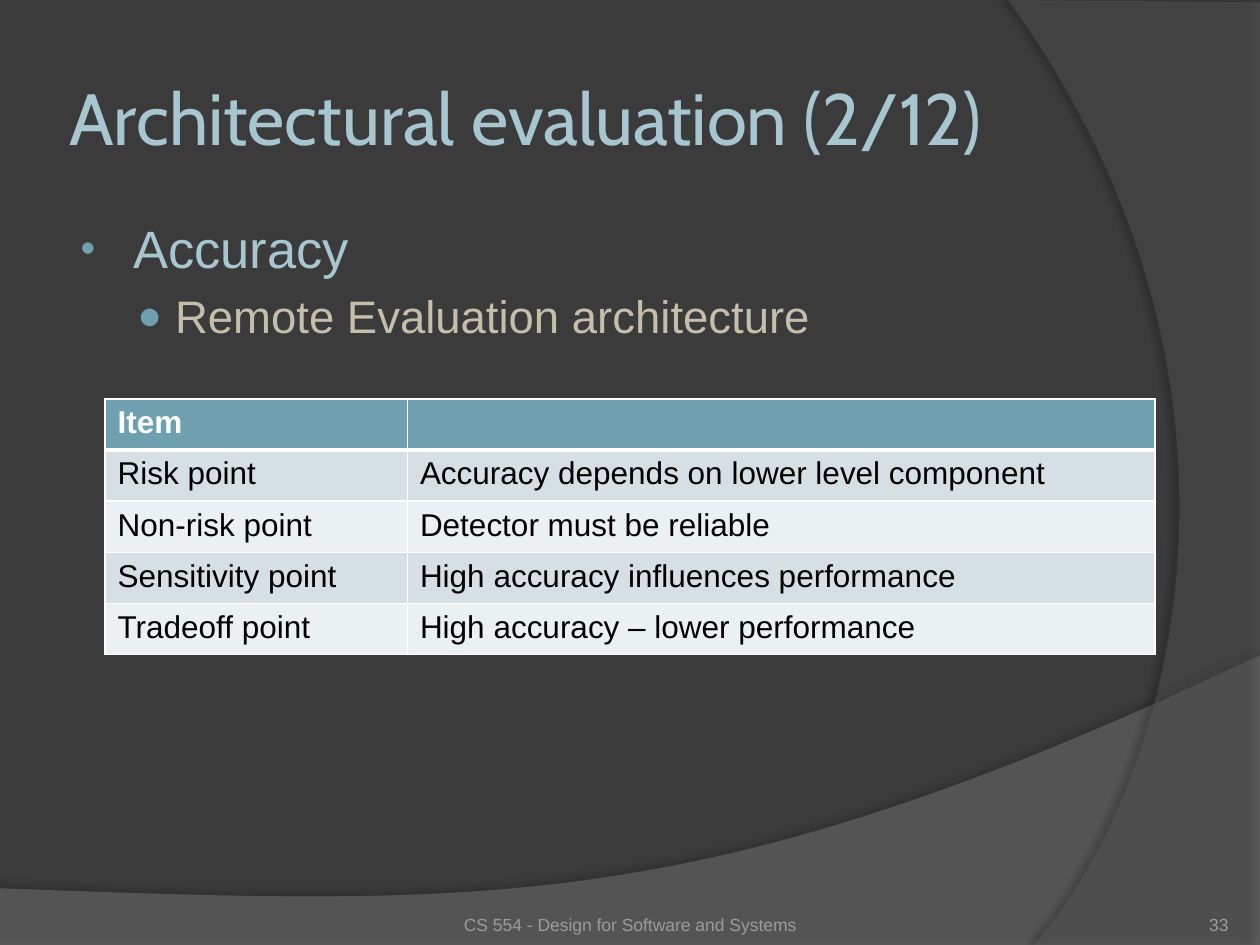
from lxml.etree import SubElement
from pptx import Presentation
from pptx.dml.color import RGBColor as RGB
from pptx.enum.text import MSO_ANCHOR as ANCHOR, PP_ALIGN as ALIGN
from pptx.oxml import parse_xml
from pptx.oxml.ns import nsdecls, qn
from pptx.util import Pt

COLORS = {
    "bg": "3B3B3B", "wave": "7F7F7F", "arc": "5E5E5E", "shadow": "000000",
    "title": "A8C6D0", "sub": "C5BEAB", "accent": "6EA0B0", "footer": "9D9B9A",
    "white": "FFFFFF", "black": "000000", "odd": "D5DFE4", "even": "EBF0F2",
}


def bezier(p0, p1, p2, p3, steps=60):
    """Return points along a cubic curve, without its start."""
    ts = [i / steps for i in range(1, steps + 1)]
    return [tuple((1 - t) ** 3 * a + 3 * t * (1 - t) ** 2 * b + 3 * t * t * (1 - t) * c + t ** 3 * d
                  for a, b, c, d in zip(p0, p1, p2, p3)) for t in ts]


class Deck:
    """Hold the style and the current slide."""

    def __init__(self, width, height):
        """Start a deck with one blank slide."""
        self.prs = Presentation()
        self.prs.slide_width, self.prs.slide_height = Pt(width), Pt(height)
        self.s = self.prs.slides.add_slide(self.prs.slide_layouts[6])
        self.fill(self.s.background, "bg")

    def fill(self, target, color):
        """Fill a target with a named colour."""
        target.fill.solid()
        target.fill.fore_color.rgb = RGB.from_string(COLORS[color])

    def run(self, p, text, color, size, **fmt):
        """Add a formatted run to a paragraph."""
        r = p.add_run()
        r.text = text
        r.font.color.rgb = RGB.from_string(COLORS[color])
        for name, value in {"name": "Arial", "size": Pt(size), **fmt}.items():
            setattr(r.font, name, value)

    def band(self, points, color, alpha, shadow_alpha, dist, angle):
        """Draw a translucent outline with a soft shadow."""
        pts = [(Pt(x), Pt(y)) for x, y in points]
        fb = self.s.shapes.build_freeform(*pts[0])
        fb.add_line_segments(pts[1:])
        sp = fb.convert_to_shape()
        self.fill(sp, color)
        sp.line.fill.background()
        sp.shadow.inherit = False
        spPr = sp.element.spPr
        SubElement(spPr.find(qn("a:solidFill"))[0], qn("a:alpha"), val=str(alpha * 1000))
        shadow = SubElement(spPr.find(qn("a:effectLst")), qn("a:outerShdw"), blurRad=str(Pt(4)),
                            dist=str(Pt(dist)), dir=str(angle * 60000), algn="ctr", rotWithShape="0")
        clr = SubElement(shadow, qn("a:srgbClr"), val=COLORS["shadow"])
        SubElement(clr, qn("a:alpha"), val=str(shadow_alpha * 1000))

    def box(self, x, y, w, h, **fmt):
        """Add a wrapping text box and return its text frame."""
        tf = self.s.shapes.add_textbox(Pt(x), Pt(y), Pt(w), Pt(h)).text_frame
        for name, value in {"word_wrap": True, **fmt}.items():
            setattr(tf, name, value)
        return tf

    def label(self, frame, text, color, size, align=ALIGN.LEFT, font="Arial", **fmt):
        """Add a text box with a single line."""
        p = self.box(*frame, **fmt).paragraphs[0]
        p.alignment = align
        self.run(p, text, color, size, name=font)

    def bullets(self, frame, items):
        """Add a bulleted list."""
        tf = self.box(*frame)
        for i, (text, color, size, char, scale, left, hang) in enumerate(items):
            p = tf.add_paragraph() if i else tf.paragraphs[0]
            p.level = i
            p.space_before = Pt(0.2 * size if i else 0)
            pPr = p._p.get_or_add_pPr()
            pPr.set("marL", str(Pt(left)))
            pPr.set("indent", str(Pt(-hang)))
            SubElement(SubElement(pPr, qn("a:buClr")), qn("a:srgbClr"), val=COLORS["accent"])
            SubElement(pPr, qn("a:buSzPct"), val=str(scale * 1000))
            SubElement(pPr, qn("a:buFont"), typeface="Arial")
            SubElement(pPr, qn("a:buChar"), char=char)
            self.run(p, text, color, size)

    def borders(self, cell, **widths):
        """Draw white borders around a cell."""
        tcPr = cell._tc.get_or_add_tcPr()
        for i, side in enumerate("LRTB"):
            tcPr.insert(i, parse_xml(
                f'<a:ln{side} {nsdecls("a")} w="{Pt(widths.get(side, 1))}"><a:solidFill>'
                f'<a:srgbClr val="{COLORS["white"]}"/></a:solidFill></a:ln{side}>'))

    def table(self, x, y, widths, row_height, rows):
        """Add a banded table with a header row."""
        tbl = self.s.shapes.add_table(len(rows), len(widths), Pt(x), Pt(y), Pt(sum(widths)),
                                      Pt(row_height * len(rows))).table
        for col, width in zip(tbl.columns, widths):
            col.width = Pt(width)
        for i, row in enumerate(rows):
            tbl.rows[i].height = Pt(row_height)
            rule = {0: {"B": 3}, 1: {"T": 3}}.get(i, {})
            for j, text in enumerate(row):
                cell = tbl.cell(i, j)
                self.fill(cell, "accent" if i == 0 else "odd" if i % 2 else "even")
                self.borders(cell, **rule)
                if text:
                    self.run(cell.text_frame.paragraphs[0], text,
                             "black" if i else "white", 18, bold=i == 0)


def main():
    """Build and save the slide."""
    d = Deck(720, 540)
    wave = bezier((720, 374.4), (402.5, 524.9), (281.5, 517.7), (0, 507.6))
    d.band([(0, 507.6), (0, 540.7), (720, 540.7), (720, 374.4)] + wave, "wave", 45, 35, 3.5, 270)
    arc = bezier((591.1, 540), (673.2, 445.7), (733, 216), (576, 0))
    d.band([(720, 1.4), (720, 540), (591.1, 540)] + arc, "arc", 40, 45, 4, 180)

    inset = dict.fromkeys(("margin_left", "margin_top", "margin_right", "margin_bottom"), Pt(3.6))
    d.label((36, 21.6, 588, 90), "Architectural evaluation (2/12)", "title", 41.4,
            font="Cabin", vertical_anchor=ANCHOR.MIDDLE, **inset)
    d.bullets((36, 120, 648, 372), [
        ("Accuracy", "title", 30, "•", 80, 33, 30),
        ("Remote Evaluation architecture", "sub", 26, "●", 90, 57, 21.6),
    ])
    d.table(60, 228, (172.8, 427.2), 29.2, [
        ("Item", ""),
        ("Risk point", "Accuracy depends on lower level component"),
        ("Non-risk point", "Detector must be reliable"),
        ("Sensitivity point", "High accuracy influences performance"),
        ("Tradeoff point", "High accuracy – lower performance"),
    ])
    footer = {**dict.fromkeys(inset, 0), "vertical_anchor": ANCHOR.BOTTOM}
    d.label((642, 505.5, 60, 28.8), "33", "footer", 10, ALIGN.RIGHT, **footer)
    d.label((246, 505.5, 228, 28.8), "CS 554 - Design for Software and Systems", "footer", 10,
            ALIGN.CENTER, **footer)
    d.prs.save("out.pptx")


if __name__ == "__main__":
    main()
